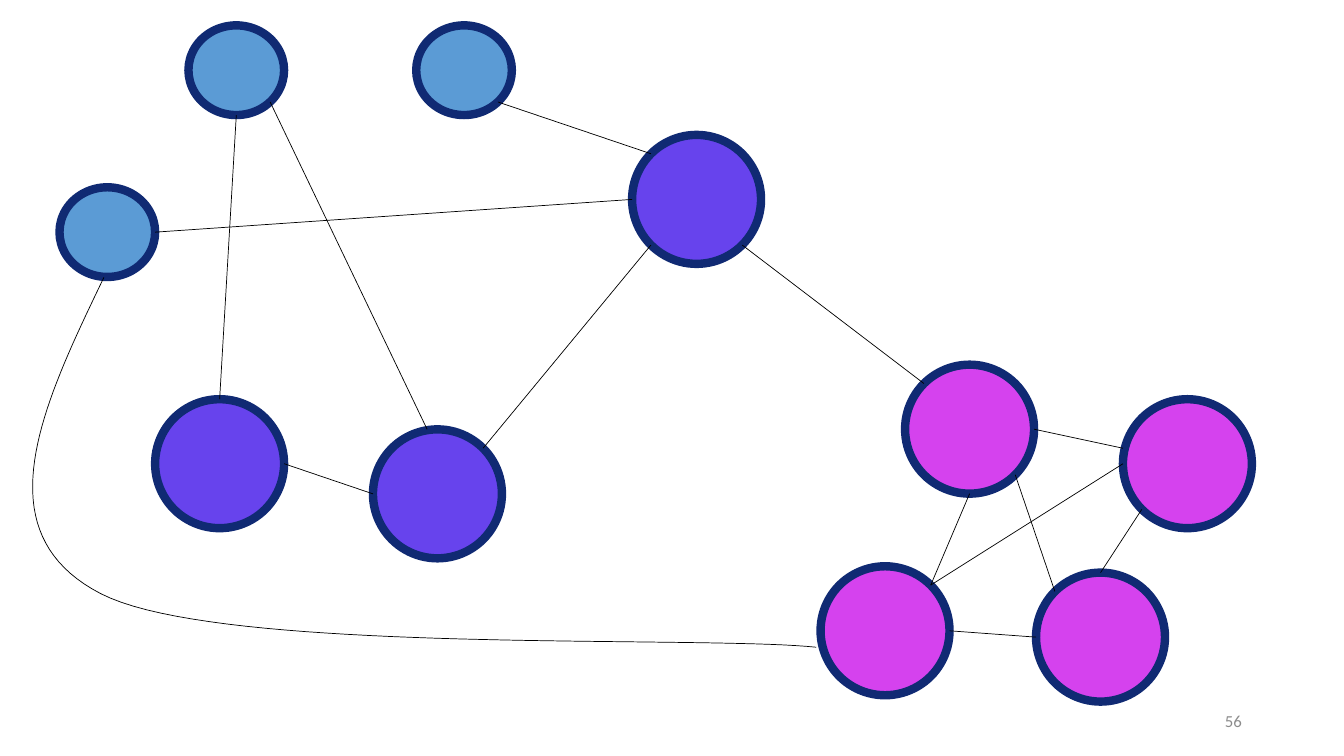
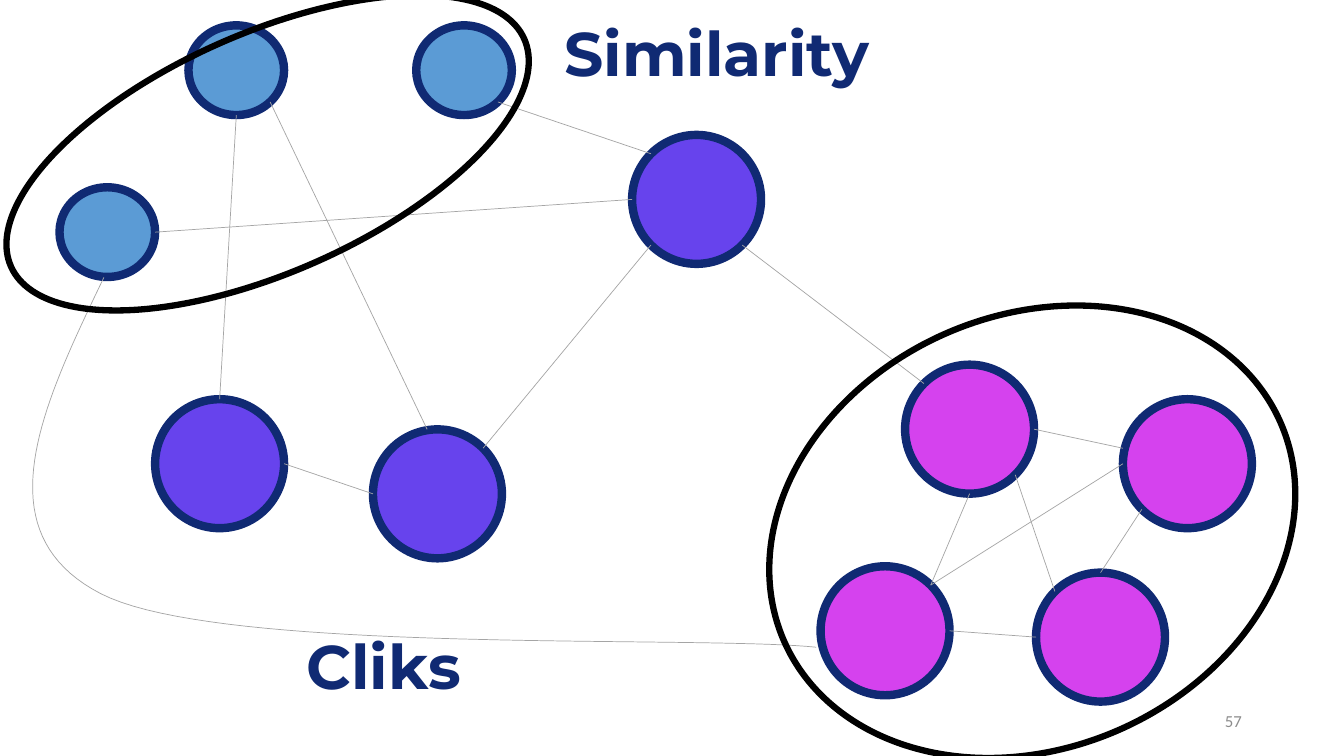
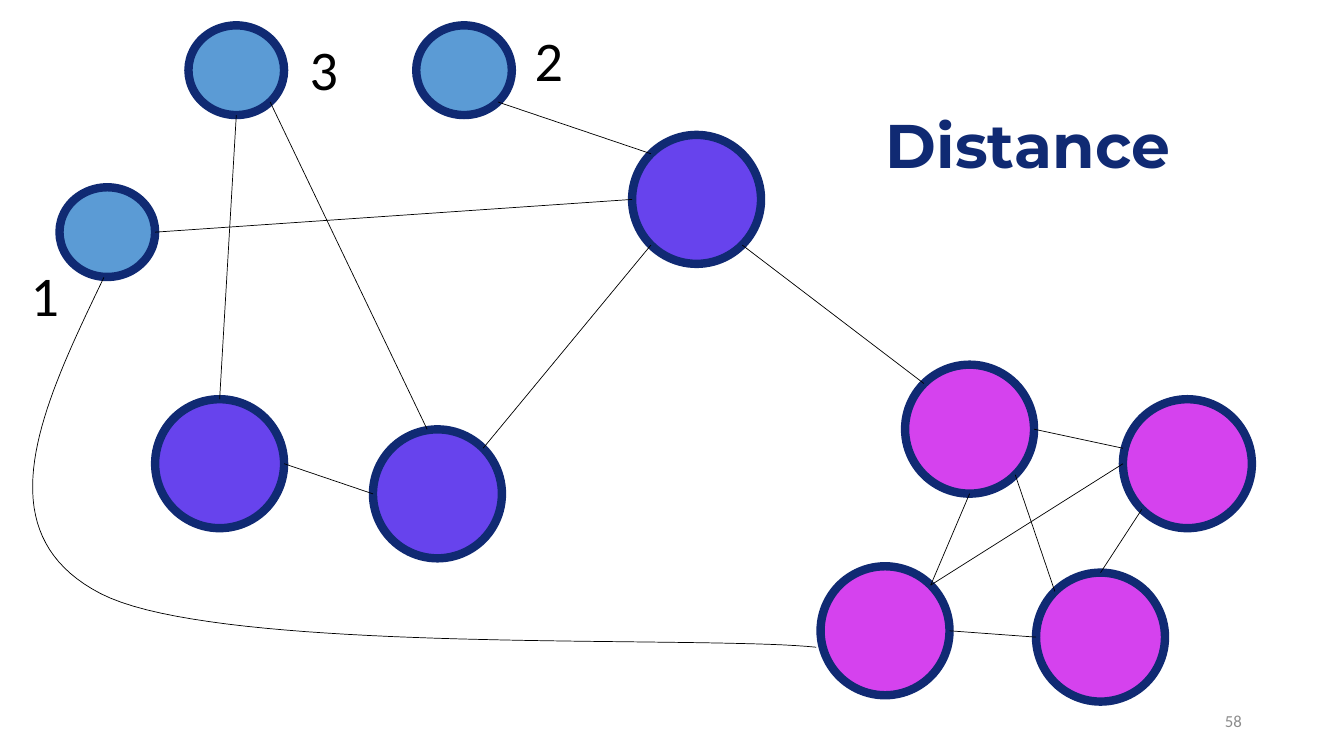
from dataclasses import dataclass
from enum import Enum

from pptx import Presentation
from pptx.dml.color import RGBColor
from pptx.enum.shapes import MSO_CONNECTOR, MSO_SHAPE
from pptx.enum.text import MSO_ANCHOR, MSO_AUTO_SIZE, PP_ALIGN
from pptx.oxml.ns import qn
from pptx.slide import Slide
from pptx.text.text import TextFrame
from pptx.util import Cm, Pt

NAVY = RGBColor(0x10, 0x2A, 0x73)
PINK = RGBColor(0xD5, 0x42, 0xEE)
BLUE = RGBColor(0x5B, 0x9B, 0xD5)
PURPLE = RGBColor(0x67, 0x43, 0xED)
BLACK = RGBColor(0x00, 0x00, 0x00)
GREY = RGBColor(0xA5, 0xA5, 0xA5)
FOOTER_GREY = RGBColor(0x8C, 0x8C, 0x8C)

BODY_FONT = "Calibri"
TITLE_FONT = "Montserrat"
TITLE_ONLY, BLANK = 5, 6
HEADING_SIZE = (11.28, 2.18)
NUMBER_SIZE = (1.24, 1.96)
RING_ROTATION = 336.1
CURVE_STEPS = 40

Point = tuple[float, float]


class Side(Enum):
    TOP = (0.5, 0)
    TOP_NEAR_LEFT = (0.42, 0)
    TOP_LEFT = (0.146, 0.146)
    TOP_RIGHT = (0.854, 0.146)
    LEFT = (0, 0.5)
    LEFT_NEAR_TOP = (0, 0.38)
    RIGHT = (1, 0.5)
    BOTTOM_LEFT = (0.146, 0.854)
    BOTTOM = (0.5, 1)
    BOTTOM_RIGHT = (0.854, 0.854)


@dataclass(frozen=True)
class Node:
    left: float
    top: float
    fill: RGBColor
    width: float = 3.25
    height: float = 3.25

    def anchor(self, side: Side) -> Point:
        across, down = side.value
        return self.left + across * self.width, self.top + down * self.height


@dataclass(frozen=True)
class Edge:
    start: Node
    start_side: Side
    end: Node
    end_side: Side


@dataclass(frozen=True)
class Ring:
    left: float
    top: float
    width: float
    height: float


@dataclass(frozen=True)
class Label:
    text: str
    left: float
    top: float


@dataclass(frozen=True)
class Page:
    number: int
    edge_color: RGBColor = BLACK
    title: Label | None = None
    headings: tuple[Label, ...] = ()
    node_numbers: tuple[Label, ...] = ()
    rings: tuple[Ring, ...] = ()


def small_node(left: float, top: float) -> Node:
    return Node(left, top, BLUE, 2.41, 2.26)


PINK_LEFT = Node(20.68, 14.27, PINK)
PINK_TOP = Node(22.81, 9.19, PINK)
PINK_RIGHT = Node(28.3, 10.06, PINK)
PINK_BOTTOM = Node(26.11, 14.43, PINK)
BLUE_LEFT = small_node(1.5, 4.72)
BLUE_RIGHT = small_node(10.49, 0.64)
BLUE_MIDDLE = small_node(4.75, 0.64)
PURPLE_LEFT = Node(3.91, 10.06, PURPLE)
PURPLE_MIDDLE = Node(9.4, 10.82, PURPLE)
PURPLE_TOP = Node(15.93, 3.4, PURPLE)

NODES = (
    PINK_LEFT, PINK_TOP, PINK_RIGHT, PINK_BOTTOM, BLUE_LEFT,
    BLUE_RIGHT, PURPLE_LEFT, PURPLE_MIDDLE, PURPLE_TOP, BLUE_MIDDLE,
)

EDGES = (
    Edge(BLUE_MIDDLE, Side.BOTTOM, PURPLE_LEFT, Side.TOP),
    Edge(BLUE_MIDDLE, Side.BOTTOM_RIGHT, PURPLE_MIDDLE, Side.TOP_NEAR_LEFT),
    Edge(PURPLE_MIDDLE, Side.LEFT, PURPLE_LEFT, Side.RIGHT),
    Edge(PURPLE_TOP, Side.BOTTOM_RIGHT, PINK_TOP, Side.TOP_LEFT),
    Edge(PURPLE_MIDDLE, Side.TOP_RIGHT, PURPLE_TOP, Side.BOTTOM_LEFT),
    Edge(BLUE_LEFT, Side.RIGHT, PURPLE_TOP, Side.LEFT),
    Edge(BLUE_RIGHT, Side.BOTTOM_RIGHT, PURPLE_TOP, Side.TOP_LEFT),
    Edge(PINK_TOP, Side.BOTTOM, PINK_LEFT, Side.TOP_RIGHT),
    Edge(PINK_TOP, Side.RIGHT, PINK_RIGHT, Side.LEFT_NEAR_TOP),
    Edge(PINK_BOTTOM, Side.TOP, PINK_RIGHT, Side.BOTTOM_LEFT),
    Edge(PINK_BOTTOM, Side.LEFT, PINK_LEFT, Side.RIGHT),
    Edge(PINK_LEFT, Side.TOP_RIGHT, PINK_RIGHT, Side.LEFT),
    Edge(PINK_TOP, Side.BOTTOM_RIGHT, PINK_BOTTOM, Side.TOP_LEFT),
)

CURVE_START = (2.62, 6.99)
CURVE_SEGMENTS = (
    ((1.07, 10.21), (-0.46, 13.41), (2.54, 14.96)),
    ((5.54, 16.51), (17.55, 16), (20.57, 16.31)),
)

PAGES = (
    Page(56),
    Page(
        57,
        edge_color=GREY,
        title=Label("Similarity", 13.97, 0.46),
        headings=(Label("Cliks", 7.47, 15.9),),
        rings=(Ring(-0.33, 0.84, 14.15, 6.02), Ring(19.18, 7.95, 13.67, 10.9)),
    ),
    Page(
        58,
        title=Label("Distance", 22.07, 2.77),
        node_numbers=(
            Label("1", 0.51, 6.43),
            Label("2", 13.21, 0.51),
            Label("3", 7.54, 0.74),
        ),
    ),
)


def write_text(
    frame: TextFrame,
    text: str,
    *,
    size: float,
    color: RGBColor,
    font: str = BODY_FONT,
    bold: bool = False,
    align: PP_ALIGN = PP_ALIGN.LEFT,
    anchor: MSO_ANCHOR = MSO_ANCHOR.TOP,
    line_spacing: float = 1.0,
    wrap: bool = True,
    fit: MSO_AUTO_SIZE = MSO_AUTO_SIZE.NONE,
) -> None:
    frame.word_wrap = wrap
    frame.auto_size = fit
    frame.vertical_anchor = anchor
    para = frame.paragraphs[0]
    para.alignment = align
    para.line_spacing = line_spacing
    span = para.add_run()
    span.text = text
    span.font.name = font
    span.font.size = Pt(size)
    span.font.bold = bold
    span.font.color.rgb = color


def add_box(slide: Slide, left: float, top: float, width: float, height: float) -> TextFrame:
    return slide.shapes.add_textbox(Cm(left), Cm(top), Cm(width), Cm(height)).text_frame


def write_heading(frame: TextFrame, text: str) -> None:
    write_text(frame, text, size=44, color=NAVY, font=TITLE_FONT, bold=True, line_spacing=0.9)


def place_title(slide: Slide, label: Label) -> None:
    title = slide.shapes.title
    title.left, title.top = Cm(label.left), Cm(label.top)
    title.width, title.height = (Cm(length) for length in HEADING_SIZE)
    write_heading(title.text_frame, label.text)


def add_ellipse(
    slide: Slide,
    outline: Node | Ring,
    line_color: RGBColor,
    line_width: float,
    fill: RGBColor | None = None,
    rotation: float = 0,
) -> None:
    ellipse = slide.shapes.add_shape(
        MSO_SHAPE.OVAL,
        Cm(outline.left), Cm(outline.top), Cm(outline.width), Cm(outline.height),
    )
    ellipse.shadow.inherit = False
    ellipse.rotation = rotation
    ellipse.line.color.rgb = line_color
    ellipse.line.width = Pt(line_width)
    if fill is None:
        ellipse.fill.background()
    else:
        ellipse.fill.solid()
        ellipse.fill.fore_color.rgb = fill


def add_edge(slide: Slide, edge: Edge, color: RGBColor) -> None:
    ends = edge.start.anchor(edge.start_side) + edge.end.anchor(edge.end_side)
    connector = slide.shapes.add_connector(
        MSO_CONNECTOR.STRAIGHT, *(Cm(length) for length in ends)
    )
    connector.line.color.rgb = color
    connector.line.width = Pt(0.5)
    properties = connector._element.spPr
    properties.append(properties.makeelement(qn("a:effectLst"), {}))


def bezier_point(t: float, *controls: Point) -> Point:
    weights = ((1 - t) ** 3, 3 * t * (1 - t) ** 2, 3 * t**2 * (1 - t), t**3)
    x, y = (
        sum(weight * value for weight, value in zip(weights, axis))
        for axis in zip(*controls)
    )
    return x, y


def add_curve(slide: Slide, color: RGBColor) -> None:
    points: list[Point] = []
    start = CURVE_START
    for segment in CURVE_SEGMENTS:
        points += [
            bezier_point(step / CURVE_STEPS, start, *segment)
            for step in range(1, CURVE_STEPS + 1)
        ]
        start = segment[-1]
    builder = slide.shapes.build_freeform(Cm(CURVE_START[0]), Cm(CURVE_START[1]))
    builder.add_line_segments([(Cm(x), Cm(y)) for x, y in points], close=False)
    curve = builder.convert_to_shape()
    curve.shadow.inherit = False
    curve.fill.background()
    curve.line.color.rgb = color
    curve.line.width = Pt(0.5)


def add_network(slide: Slide, edge_color: RGBColor) -> None:
    for node in NODES:
        add_ellipse(slide, node, NAVY, 6, fill=node.fill)
    for edge in EDGES:
        add_edge(slide, edge, edge_color)
    add_curve(slide, edge_color)


def add_page(deck: Presentation, page: Page) -> None:
    layout = deck.slide_layouts[TITLE_ONLY if page.title else BLANK]
    slide = deck.slides.add_slide(layout)
    if page.title:
        place_title(slide, page.title)
    write_text(
        add_box(slide, 23.93, 17.65, 7.62, 1.02),
        str(page.number),
        size=12,
        color=FOOTER_GREY,
        align=PP_ALIGN.RIGHT,
        anchor=MSO_ANCHOR.MIDDLE,
    )
    add_network(slide, page.edge_color)
    for heading in page.headings:
        write_heading(add_box(slide, heading.left, heading.top, *HEADING_SIZE), heading.text)
    for ring in page.rings:
        add_ellipse(slide, ring, BLACK, 4.5, rotation=RING_ROTATION)
    for number in page.node_numbers:
        write_text(
            add_box(slide, number.left, number.top, *NUMBER_SIZE),
            number.text,
            size=40,
            color=BLACK,
            align=PP_ALIGN.CENTER,
            wrap=False,
            fit=MSO_AUTO_SIZE.SHAPE_TO_FIT_TEXT,
        )


def main() -> None:
    deck = Presentation()
    deck.slide_width, deck.slide_height = Cm(33.87), Cm(19.05)
    for page in PAGES:
        add_page(deck, page)
    deck.save("out.pptx")


if __name__ == "__main__":
    main()
